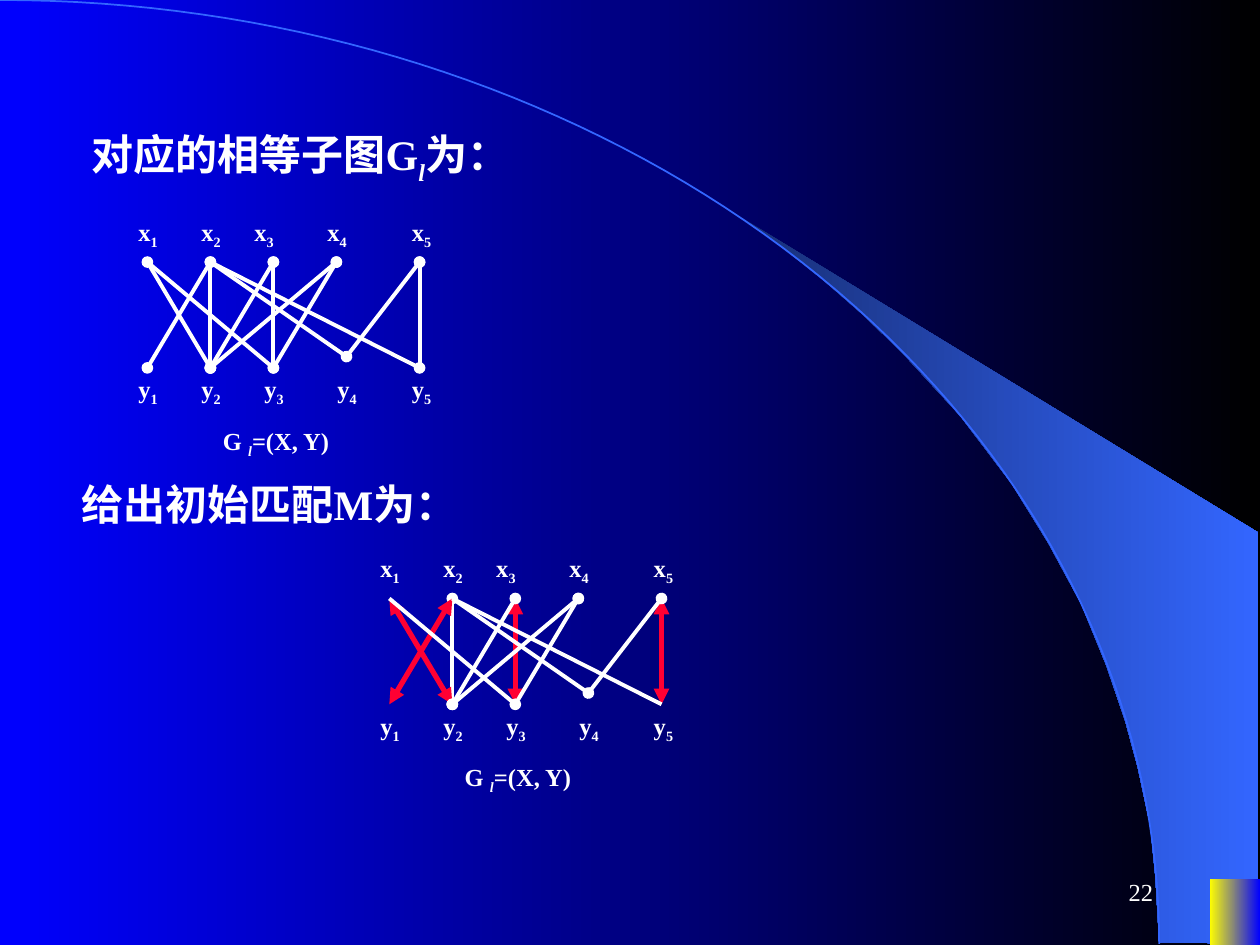
import math
from dataclasses import dataclass

import pptx
import pptx.dml.color
import pptx.enum.shapes
import pptx.enum.text
import pptx.oxml.ns
import pptx.util
from lxml import etree
from pptx.util import Inches

RGBColor = pptx.dml.color.RGBColor
ANCHOR = pptx.enum.text.MSO_ANCHOR
ALIGN = pptx.enum.text.PP_ALIGN
qn = pptx.oxml.ns.qn

WHITE = RGBColor(0xFF, 0xFF, 0xFF)
BLACK = RGBColor(0x00, 0x00, 0x00)
BLUE = RGBColor(0x00, 0x00, 0xFF)
YELLOW = RGBColor(0xFF, 0xFF, 0x00)
RED = RGBColor(0xFF, 0x00, 0x33)
NAVY = RGBColor(0x18, 0x2F, 0x76)
SKY = RGBColor(0x33, 0x66, 0xFF)
FONT = "Times New Roman"


@dataclass(frozen=True)
class Run:
    text: str
    sub: bool = False
    italic: bool = False


@dataclass(frozen=True)
class Node:
    x: float
    y: float
    label_x: float


@dataclass(frozen=True)
class Edge:
    x: int
    y: int
    ends: str = "oval"


@dataclass(frozen=True)
class Graph:
    dx: float
    dy: float
    matching: frozenset[tuple[int, int]] = frozenset()


TOP, BOTTOM = 2.08, 2.92
X_LABEL_TOP, Y_LABEL_TOP = 1.67, 2.92
X_NODES = [Node(1.17, TOP, 1), Node(1.67, TOP, 1.5), Node(2.17, TOP, 1.92),
           Node(2.67, TOP, 2.5), Node(3.33, TOP, 3.17)]
Y_NODES = [Node(1.17, BOTTOM, 1), Node(1.67, BOTTOM, 1.5), Node(2.17, BOTTOM, 2),
           Node(2.75, 2.83, 2.58), Node(3.33, BOTTOM, 3.17)]
EDGES = [Edge(2, 2), Edge(3, 3), Edge(5, 5), Edge(1, 2), Edge(3, 2), Edge(5, 4),
         Edge(4, 3), Edge(4, 2), Edge(2, 1),
         Edge(1, 3, "none"), Edge(2, 4, "none"), Edge(2, 5, "none")]
GRAPHS = [Graph(0, 0),
          Graph(1.92, 2.67, frozenset({(3, 3), (5, 5), (1, 2), (2, 1)}))]
CAPTION = [Run("G "), Run("l", sub=True, italic=True), Run("=(X, Y)")]

WEDGE = [(9.2, 7.48), (9.99, 7.49), (9.99, 4.23), (5.89, 1.73), (6.24, 1.99),
         (6.53, 2.22), (6.85, 2.5), (7.16, 2.8), (7.62, 3.3), (8.03, 3.84),
         (8.32, 4.31), (8.58, 4.79), (8.78, 5.28), (8.93, 5.72), (9.03, 6.09),
         (9.13, 6.56), (9.17, 6.96)]
ARC_W, ARC_H, ARC_STEPS = 9.2, 7.49, 72


def fill_gradient(fill, start: RGBColor, end: RGBColor) -> None:
    fill.gradient()
    fill.gradient_angle = 0
    for stop, color in zip(fill.gradient_stops, (start, end)):
        stop.color.rgb = color


def add_outline(shapes, points: list[tuple[float, float]], close: bool):
    (x0, y0), *rest = points
    fb = shapes.build_freeform(Inches(x0), Inches(y0))
    fb.add_line_segments([(Inches(x), Inches(y)) for x, y in rest], close=close)
    sp = fb.convert_to_shape()
    sp.shadow.inherit = False
    return sp


def add_text(shapes, left: float, top: float, width: float, height: float,
             runs: list[Run], size: int = 14, bold: bool = True,
             wrap: bool = False, anchor=ANCHOR.TOP, align=ALIGN.LEFT,
             indent: float = 0) -> None:
    sp = shapes.add_textbox(Inches(left), Inches(top), Inches(width), Inches(height))
    tf = sp.text_frame
    tf.word_wrap = wrap
    tf.vertical_anchor = anchor
    p = tf.paragraphs[0]
    p.alignment = align
    if indent:
        pPr = p._p.get_or_add_pPr()
        pPr.set("marL", str(Inches(indent)))
        pPr.set("indent", "0")
    for run in runs:
        r = p.add_run()
        r.text = run.text
        r.font.name = FONT
        r.font.size = pptx.util.Pt(size)
        r.font.bold = bold
        r.font.italic = run.italic
        r.font.color.rgb = WHITE
        if run.sub:
            r._r.get_or_add_rPr().set("baseline", "-25000")


def add_edge(shapes, start: Node, end: Node, graph: Graph, color: RGBColor,
             width: float, ends: str) -> None:
    cxn = shapes.add_connector(
        pptx.enum.shapes.MSO_CONNECTOR.STRAIGHT,
        Inches(start.x + graph.dx), Inches(start.y + graph.dy),
        Inches(end.x + graph.dx), Inches(end.y + graph.dy))
    cxn.line.color.rgb = color
    cxn.line.width = pptx.util.Pt(width)
    spPr = cxn._element.spPr
    ln = spPr.find(qn("a:ln"))
    for tag in ("a:headEnd", "a:tailEnd"):
        etree.SubElement(ln, qn(tag), type=ends)
    etree.SubElement(spPr, qn("a:effectLst"))


def add_graph(s, graph: Graph) -> None:
    """Draw the bipartite graph, with its matched edges as red arrows."""
    shapes = s.shapes.add_group_shape().shapes
    for edge in EDGES:
        matched = (edge.x, edge.y) in graph.matching
        color, width, ends = (RED, 3, "triangle") if matched else (WHITE, 2.25, edge.ends)
        add_edge(shapes, X_NODES[edge.x - 1], Y_NODES[edge.y - 1], graph,
                 color, width, ends)
    for letter, nodes, top in (("x", X_NODES, X_LABEL_TOP), ("y", Y_NODES, Y_LABEL_TOP)):
        for i, node in enumerate(nodes, 1):
            add_text(shapes, node.label_x + graph.dx, top + graph.dy, 0.43, 0.37,
                     [Run(letter), Run(str(i), sub=True)])
    add_text(shapes, 1.67 + graph.dx, 3.33 + graph.dy, 1.1, 0.37, CAPTION)


def add_backdrop(s) -> None:
    fill_gradient(s.background.fill, BLUE, BLACK)
    shapes = s.shapes.add_group_shape().shapes
    wedge = add_outline(shapes, WEDGE, close=True)
    fill_gradient(wedge.fill, NAVY, SKY)
    wedge.line.fill.background()

    angles = [math.pi / 2 * i / ARC_STEPS for i in range(ARC_STEPS + 1)]
    arc = add_outline(shapes, [(ARC_W * math.sin(a), ARC_H * (1 - math.cos(a)))
                               for a in angles], close=False)
    arc.fill.background()
    arc.line.color.rgb = SKY
    arc.line.width = pptx.util.Pt(1)

    corner = s.shapes.add_shape(pptx.enum.shapes.MSO_SHAPE.RECTANGLE,
                                Inches(9.6), Inches(6.98), Inches(0.4), Inches(0.52))
    corner.shadow.inherit = False
    fill_gradient(corner.fill, YELLOW, BLUE)
    corner.line.fill.background()


def main() -> None:
    prs = pptx.Presentation()
    prs.slide_width, prs.slide_height = Inches(10), Inches(7.5)
    s = prs.slides.add_slide(prs.slide_layouts[6])
    add_backdrop(s)
    add_text(s.shapes, 7.17, 6.83, 2.08, 0.5, [Run("22")], bold=False, wrap=True,
             anchor=ANCHOR.MIDDLE, align=ALIGN.RIGHT)
    add_text(s.shapes, 0.25, 0.97, 8.5, 0.56,
             [Run("对应的相等子图G"), Run("l", sub=True, italic=True), Run("为：")],
             size=24, wrap=True, anchor=ANCHOR.MIDDLE, indent=0.38)
    add_text(s.shapes, 0.17, 3.75, 8.5, 0.5, [Run("给出初始匹配M为：")],
             size=24, wrap=True, anchor=ANCHOR.MIDDLE, indent=0.38)
    for graph in GRAPHS:
        add_graph(s, graph)
    prs.save("out.pptx")


if __name__ == "__main__":
    main()
